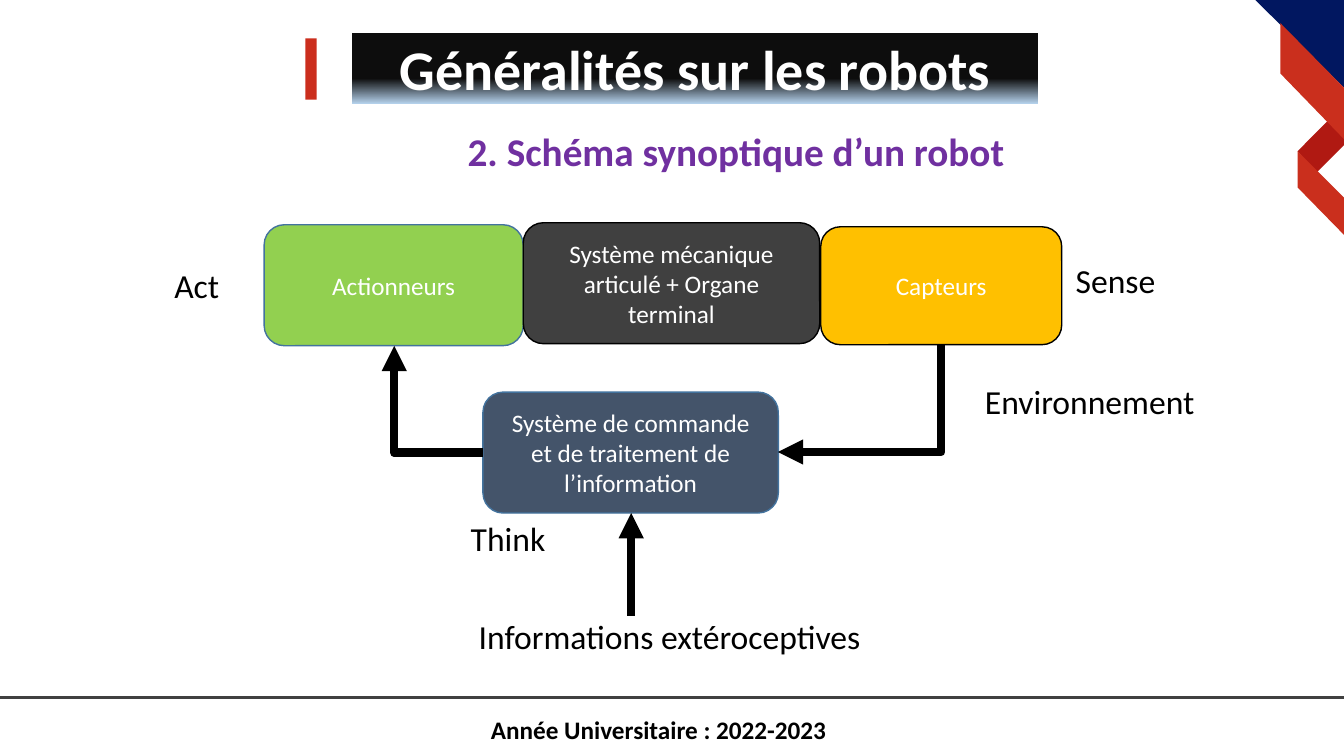
from lxml import etree
from pptx import Presentation
from pptx.dml.color import RGBColor
from pptx.enum.shapes import MSO_CONNECTOR, MSO_SHAPE
from pptx.enum.text import MSO_ANCHOR, MSO_AUTO_SIZE, PP_ALIGN
from pptx.oxml.ns import qn
from pptx.util import Inches, Pt

RECT, ROUNDED = MSO_SHAPE.RECTANGLE, MSO_SHAPE.ROUNDED_RECTANGLE
STRAIGHT, ELBOW = MSO_CONNECTOR.STRAIGHT, MSO_CONNECTOR.ELBOW
CENTER, MIDDLE = PP_ALIGN.CENTER, MSO_ANCHOR.MIDDLE
NO_AUTOFIT = MSO_AUTO_SIZE.NONE

CORNER = [
    ("B01912", [(13.19, 1.18), (13.33, 1.35), (13.33, 1.44), (13.05, 1.72), (12.87, 1.5)]),
    ("011760", [(12.45, 0), (13.33, 0), (13.33, 0.87)]),
    ("CA2F1D", [(12.87, 1.5), (13.33, 1.96), (13.33, 2.33), (12.87, 1.86)]),
    ("CA2F1D", [(12.7, 0.23), (13.33, 0.87), (13.33, 1.38), (12.7, 0.73)]),
]
BLOCKS = [
    ("Actionneurs", 2.62, 2.23, 2.57, 1.2, "92D050", "43739E"),
    ("Système mécanique articulé + Organe terminal", 5.19, 2.21, 2.94, 1.2, "404040", "000000"),
    ("Capteurs", 8.14, 2.25, 2.39, 1.17, "FFC000", "000000"),
    ("Système de commande et de traitement de l’information", 4.79, 3.89, 2.93, 1.2,
     "44546A", "43739E"),
]
LABELS = [
    ("Environnement", 9.67, 3.73, 2.3),
    ("Think", 4.57, 5.09, 0.95),
    ("Sense", 10.57, 2.53, 1),
    ("Act", 1.63, 2.58, 0.65),
    ("Informations extéroceptives", 4.65, 6.06, 4.03),
]


def rgb(value):
    return RGBColor.from_string(value)


def add_run(p, text, size, color, bold=False):
    r = p.add_run()
    r.text = text
    r.font.name = "Calibri"
    r.font.size = Pt(size)
    r.font.bold = bold
    r.font.color.rgb = rgb(color)


def center_text(tf, text, size, bold=False):
    tf.word_wrap = True
    tf.auto_size = NO_AUTOFIT
    tf.vertical_anchor = MIDDLE
    p = tf.paragraphs[0]
    p.alignment = CENTER
    add_run(p, text, size, "FFFFFF", bold)


def paint(sp, fill, line=None):
    sp.shadow.inherit = False
    sp.fill.solid()
    sp.fill.fore_color.rgb = rgb(fill)
    if line:
        sp.line.color.rgb = rgb(line)
        sp.line.width = Pt(1)
    else:
        sp.line.fill.background()


def add_polygon(s, fill, points):
    corners = [(Inches(x), Inches(y)) for x, y in points]
    builder = s.shapes.build_freeform(*corners[0])
    builder.add_line_segments(corners[1:], close=True)
    paint(builder.convert_to_shape(), fill)


def add_block(s, text, x, y, w, h, fill, line):
    sp = s.shapes.add_shape(ROUNDED, Inches(x), Inches(y), Inches(w), Inches(h))
    paint(sp, fill, line)
    center_text(sp.text_frame, text, 18)


def add_label(s, text, x, y, w, h=0.5, size=24, color="000000", bold=False):
    tf = s.shapes.add_textbox(Inches(x), Inches(y), Inches(w), Inches(h)).text_frame
    tf.word_wrap = False
    add_run(tf.paragraphs[0], text, size, color, bold)


def add_line(s, kind, x1, y1, x2, y2, width, color="000000"):
    c = s.shapes.add_connector(kind, Inches(x1), Inches(y1), Inches(x2), Inches(y2))
    c.line.color.rgb = rgb(color)
    c.line.width = Pt(width)
    etree.SubElement(c._element.spPr, qn("a:effectLst"))
    return c


def add_arrow(s, kind, x1, y1, x2, y2):
    c = add_line(s, kind, x1, y1, x2, y2, 6)
    etree.SubElement(c.line._get_or_add_ln(), qn("a:tailEnd"), type="triangle")
    return c


def add_bent_arrow(s, x, y, w, h, angle):
    spPr = add_arrow(s, ELBOW, x, y, x + w, y + h)._element.spPr
    spPr.find(qn("a:prstGeom")).set("prst", "bentConnector2")
    spPr.find(qn("a:xfrm")).set("rot", str(angle * 60000))


def set_title(s, text):
    sp = s.shapes.title
    sp.left, sp.top, sp.width, sp.height = Inches(3.49), Inches(0.33), Inches(6.81), Inches(0.7)
    geom = etree.SubElement(sp._element.spPr, qn("a:prstGeom"), prst="roundRect")
    etree.SubElement(geom, qn("a:avLst"))
    sp.fill.gradient()
    sp.fill.gradient_angle = 270
    for stop, (position, color) in zip(sp.fill.gradient_stops, [(0.64, "0D0D0D"), (1, "B5D2EC")]):
        stop.position = position
        stop.color.rgb = rgb(color)
    center_text(sp.text_frame, text, 40, True)


def main():
    prs = Presentation()
    prs.slide_width, prs.slide_height = Inches(13.33), Inches(7.5)
    s = prs.slides.add_slide(prs.slide_layouts[5])

    for fill, points in CORNER:
        add_polygon(s, fill, points)
    bar = s.shapes.add_shape(RECT, Inches(3.03), Inches(0.38), Inches(0.11), Inches(0.61))
    paint(bar, "CB2E1D")
    set_title(s, "Généralités sur les robots")
    add_label(s, "2. Schéma synoptique d’un robot", 4.54, 1.21, 5.58, 0.57, 28, "7030A0", True)

    for block in BLOCKS:
        add_block(s, *block)
    add_bent_arrow(s, 3.91, 3.43, 0.88, 1.06, 180)
    add_bent_arrow(s, 7.99, 3.14, 1.07, 1.62, 90)
    add_arrow(s, STRAIGHT, 6.26, 6.11, 6.26, 5.09)
    for label in LABELS:
        add_label(s, *label)

    add_line(s, STRAIGHT, 0, 6.92, 13.33, 6.92, 2.75, "404040")
    add_label(s, "Année Universitaire : 2022-2023", 4.77, 7.04, 3.56, 0.4, 18, bold=True)
    prs.save("out.pptx")


if __name__ == "__main__":
    main()
